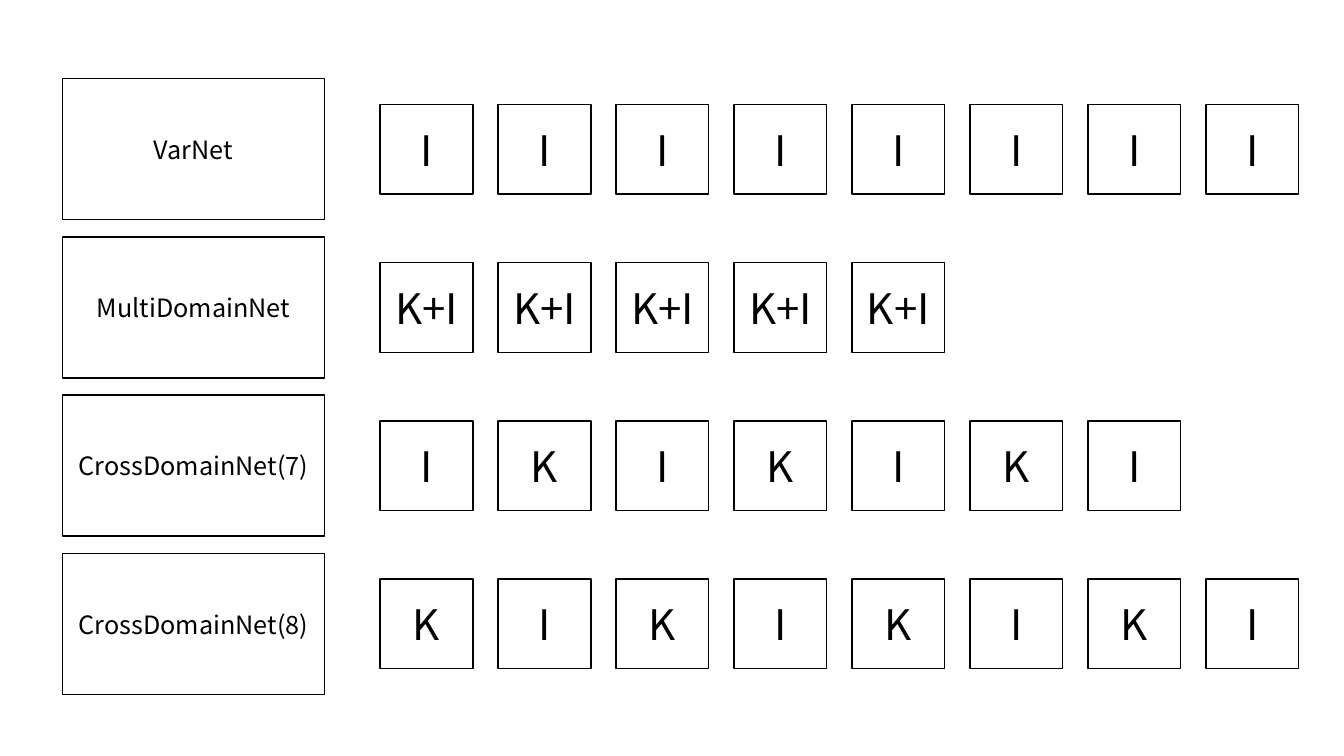
import pptx
import pptx.util
import pptx.dml.color
import pptx.enum.shapes
import pptx.enum.text

Inches = pptx.util.Inches
RGBColor = pptx.dml.color.RGBColor

NETWORKS = [
    ("VarNet", ["I"] * 8),
    ("MultiDomainNet", ["K+I"] * 5),
    ("CrossDomainNet(7)", ["I", "K", "I", "K", "I", "K", "I"]),
    ("CrossDomainNet(8)", ["K", "I"] * 4),
]

FONT = "Noto Sans CJK KR"
BLACK = RGBColor(0x00, 0x00, 0x00)
WHITE = RGBColor(0xFF, 0xFF, 0xFF)

NAME_LEFT, NAME_WIDTH, NAME_HEIGHT = 0.62, 2.6, 1.4
BLOCK_LEFT, BLOCK_WIDTH, BLOCK_HEIGHT = 3.77, 0.92, 0.89
FIRST_TOP, ROW_PITCH, BLOCK_PITCH = 0.78, 1.57, 1.17


def add_box(page, left, top, width, height, text, size):
    box = page.shapes.add_shape(
        pptx.enum.shapes.MSO_SHAPE.RECTANGLE,
        Inches(left), Inches(top), Inches(width), Inches(height),
    )
    box.shadow.inherit = False
    box.fill.solid()
    box.fill.fore_color.rgb = WHITE
    box.line.color.rgb = BLACK
    box.line.width = pptx.util.Pt(1)
    box.text_frame.word_wrap = True
    box.text_frame.vertical_anchor = pptx.enum.text.MSO_ANCHOR.MIDDLE
    para = box.text_frame.paragraphs[0]
    para.alignment = pptx.enum.text.PP_ALIGN.CENTER
    span = para.add_run()
    span.text = text
    span.font.name = FONT
    span.font.size = pptx.util.Pt(size)
    span.font.color.rgb = BLACK


def main():
    deck = pptx.Presentation()
    deck.slide_width = Inches(13.33)
    deck.slide_height = Inches(7.5)
    page = deck.slides.add_slide(deck.slide_layouts[6])

    for row, (name, blocks) in enumerate(NETWORKS):
        top = FIRST_TOP + row * ROW_PITCH
        add_box(page, NAME_LEFT, top, NAME_WIDTH, NAME_HEIGHT, name, 18)
        block_top = top + (NAME_HEIGHT - BLOCK_HEIGHT) / 2
        for column, domain in enumerate(blocks):
            left = BLOCK_LEFT + column * BLOCK_PITCH
            add_box(page, left, block_top, BLOCK_WIDTH, BLOCK_HEIGHT, domain, 30)

    deck.save("out.pptx")


if __name__ == "__main__":
    main()
